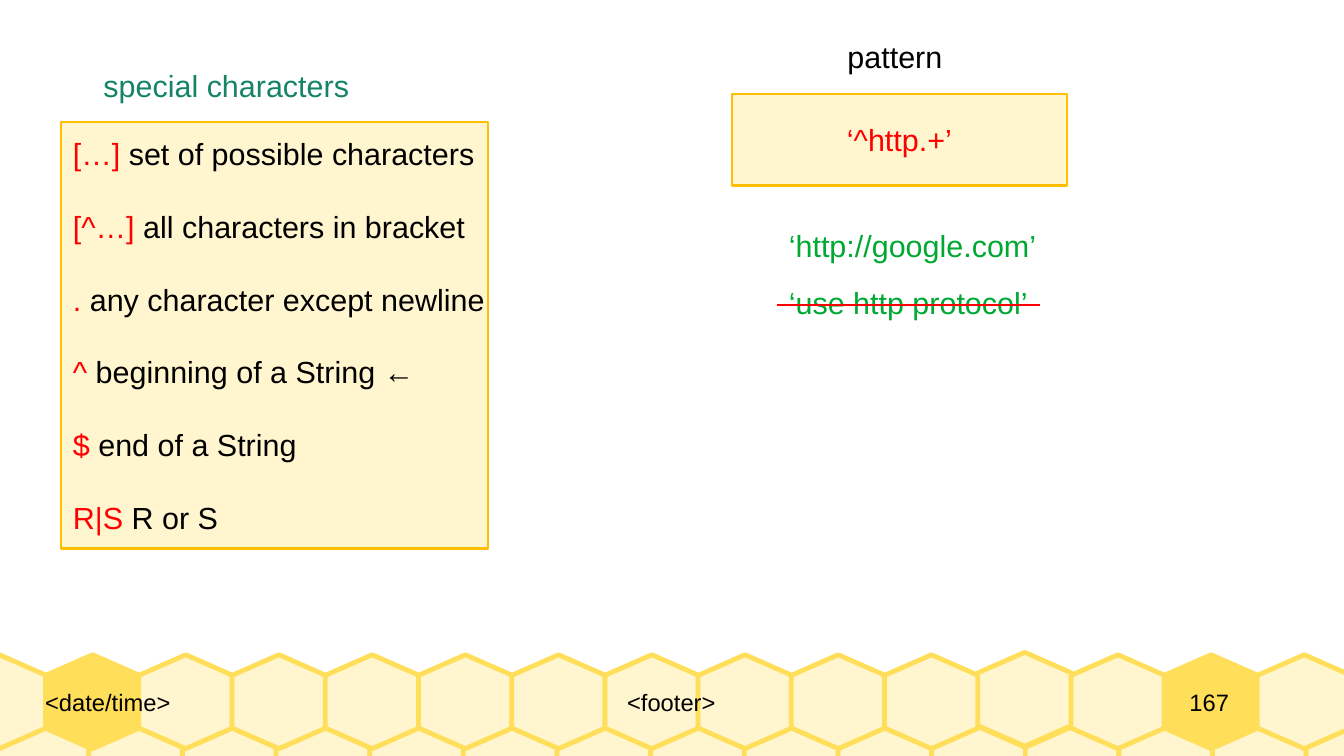
import pptx
import pptx.util
import pptx.dml.color
import pptx.enum.shapes
import pptx.enum.text
import pptx.oxml

Inch = pptx.util.Inches
Pt = pptx.util.Pt
Align = pptx.enum.text.PP_ALIGN
Anchor = pptx.enum.text.MSO_ANCHOR

COLORS = {
    "cream": "FFF5CE", "honey": "FFDE59", "amber": "FFBF00", "red": "FF0000",
    "teal": "158466", "green": "00A933", "black": "000000",
}
WIDE, HIGH = 11.02, 6.2
FONT = "Arial"

RULES = [
    ("[…]", " set of possible characters"),
    ("[^…]", " all characters in bracket"),
    (".", " any character except newline"),
    ("^", " beginning of a String ←"),
    ("$", " end of a String"),
    ("R|S ", "R or S"),
]
PATTERN = "‘^http.+’"
LABELS = [
    ("special characters", "teal", (0.75, 0.5, 2.5, 0.38)),
    ("pattern", "black", (6.85, 0.26, 1.25, 0.38)),
    ("‘http://google.com’", "green", (6.37, 1.81, 2.5, 0.38)),
    ("‘use http protocol’", "green", (6.37, 2.28, 2.5, 0.38)),
]
FOOTS = [
    ("<date/time>", Align.LEFT, 0.37, 2.63),
    ("<footer>", Align.CENTER, 3, 5.01),
    ("167", Align.CENTER, 9.29, 1.25),
]
CELL = 0.77
COUNT = 15
ROWS = [
    {"first": -0.04, "last": 10.71, "top": 5.96, "dark": (), "high": ()},
    {"first": -0.39, "last": 10.31, "top": 5.37, "dark": (1, 13), "high": (11,)},
]
HEX = [(0.5, 0), (0, 0.22), (0, 0.78), (0.5, 1), (1, 0.78), (1, 0.22)]


def color(name):
    return pptx.dml.color.RGBColor.from_string(COLORS[name])


def paint(shape, fill, line, width):
    shape.shadow.inherit = False
    shape.fill.solid()
    shape.fill.fore_color.rgb = color(fill)
    shape.line.color.rgb = color(line)
    shape.line.width = Pt(width)


def write(para, text, tone, size=18):
    run = para.add_run()
    run.text = text
    run.font.name = FONT
    run.font.size = Pt(size)
    run.font.color.rgb = color(tone)


def label(slide, text, tone, box, size=18):
    frame = slide.shapes.add_textbox(*map(Inch, box)).text_frame
    frame.word_wrap = True
    write(frame.paragraphs[0], text, tone, size)
    return frame


def panel(slide, box):
    kind = pptx.enum.shapes.MSO_SHAPE.RECTANGLE
    shape = slide.shapes.add_shape(kind, *map(Inch, box))
    paint(shape, "cream", "amber", 1.42)
    frame = shape.text_frame
    frame.word_wrap = True
    frame.vertical_anchor = Anchor.MIDDLE
    return frame


def comb(slide):
    for row in ROWS:
        step = (row["last"] - row["first"]) / (COUNT - 1)
        for col in range(COUNT):
            left = row["first"] + col * step
            top = row["top"] - (0.02 if col in row["high"] else 0)
            spots = [(Inch(left + x * CELL), Inch(top + y * CELL)) for x, y in HEX]
            form = slide.shapes.build_freeform(*spots[0])
            form.add_line_segments(spots[1:], close=True)
            fill = "honey" if col in row["dark"] else "cream"
            paint(form.convert_to_shape(), fill, "honey", 2.83)


def feet(slide):
    for text, align, left, width in FOOTS:
        frame = label(slide, text, "black", (left, 5.37, width, CELL), 14)
        frame.margin_left = frame.margin_right = 0
        frame.margin_top = frame.margin_bottom = 0
        frame.vertical_anchor = Anchor.MIDDLE
        frame.paragraphs[0].alignment = align


def rules(slide):
    frame = panel(slide, (0.5, 1, 3.5, 3.5))
    frame.margin_right = 0
    for spot, (sign, text) in enumerate(RULES):
        para = frame.add_paragraph() if spot else frame.paragraphs[0]
        para.alignment = Align.LEFT
        if spot:
            para.space_before = Pt(21.4)
        write(para, sign, "red")
        write(para, text, "black")


def strike(slide):
    kind = pptx.enum.shapes.MSO_CONNECTOR.STRAIGHT
    line = slide.shapes.add_connector(kind, *map(Inch, (6.37, 2.5, 8.53, 2.5)))
    line.line.color.rgb = color("red")
    line.line.width = Pt(1.42)
    props = line._element.spPr
    props.append(pptx.oxml.parse_xml(
        '<a:effectLst xmlns:a="http://schemas.openxmlformats.org/drawingml/2006/main"/>'))


def main():
    deck = pptx.Presentation()
    deck.slide_width, deck.slide_height = Inch(WIDE), Inch(HIGH)
    slide = deck.slides.add_slide(deck.slide_layouts[6])
    comb(slide)
    feet(slide)
    rules(slide)
    para = panel(slide, (6, 0.77, 2.75, 0.75)).paragraphs[0]
    para.alignment = Align.CENTER
    write(para, PATTERN, "red")
    for text, tone, box in LABELS:
        label(slide, text, tone, box)
    strike(slide)
    deck.save("out.pptx")


if __name__ == "__main__":
    main()
